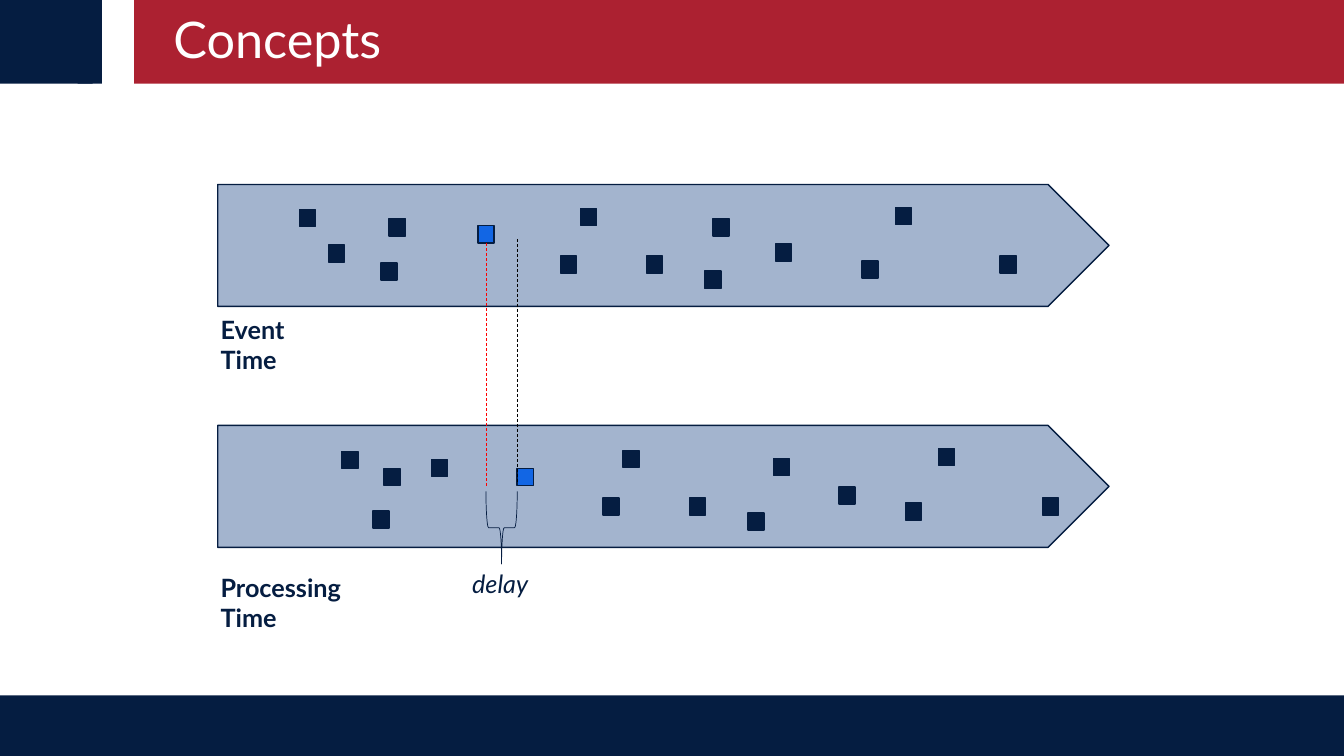
from pptx import Presentation
from pptx.util import Inches, Pt
from pptx.dml.color import RGBColor
from pptx.enum.dml import MSO_LINE
from pptx.enum.shapes import MSO_CONNECTOR, MSO_SHAPE
from pptx.enum.text import MSO_ANCHOR, PP_ALIGN
from lxml import etree

COLORS = {"navy": "051D41", "red": "AC2131", "white": "FFFFFF", "band": "A3B4CE",
          "tracked": "1266E4", "event_line": "FF0000", "arrival_line": "000000"}
FONT = "Lato"
COLUMNS, ROWS = 133.3, 75
BAND_LEFT, BAND_WIDTH, BAND_HEIGHT = 21.6, 88.4, 12.1
EVENT_WIDTH, EVENT_HEIGHT = 1.6, 1.7
TRACKED = 4
EVENT_TIMES = [(8.1, 2.5), (17, 3.4), (11, 6), (16.2, 7.8), (25.8, 4.1), (34, 7.1), (36, 2.4),
               (42.5, 7.1), (49.1, 3.4), (48.3, 8.6), (55.3, 5.9), (63.9, 7.6), (67.2, 2.3),
               (77.6, 7.1)]
PROCESSING_TIMES = [(12.3, 2.6), (21.2, 3.4), (16.5, 4.3), (15.4, 8.5), (29.7, 4.3), (38.2, 7.2),
                    (40.2, 2.5), (46.8, 7.2), (55.1, 3.3), (52.6, 8.7), (61.6, 6.1), (68.2, 7.7),
                    (71.5, 2.3), (81.8, 7.2)]


def grid(*cells):
    return [Inches(cell / 10) for cell in cells]


def color(name):
    return RGBColor.from_string(COLORS[name])


def add_block(slide, kind, box, fill=None, line_width=0):
    block = slide.shapes.add_shape(kind, *grid(*box))
    block.shadow.inherit = False
    if fill:
        block.fill.solid()
        block.fill.fore_color.rgb = color(fill)
    else:
        block.fill.background()
    if line_width:
        block.line.color.rgb = color("navy")
        block.line.width = Pt(line_width)
    else:
        block.line.fill.background()
    return block


def style(paragraph, size, ink, bold=False, italic=False):
    paragraph.alignment = PP_ALIGN.LEFT
    font = paragraph.font
    font.name, font.size, font.bold, font.italic = FONT, Pt(size), bold, italic
    font.color.rgb = color(ink)


def add_label(slide, wording, box, **emphasis):
    frame = slide.shapes.add_textbox(*grid(*box)).text_frame
    frame.word_wrap = True
    frame.text = wording
    style(frame.paragraphs[0], 18, "navy", **emphasis)


def add_header(slide, left, top, width, height):
    for block_left, block_width in ((0, 9.2), (7.7, 2.4)):
        add_block(slide, MSO_SHAPE.RECTANGLE, (left + block_left, top, block_width, height), "navy")
    title_left = left + 13.3
    title = add_block(slide, MSO_SHAPE.RECTANGLE,
                      (title_left, top, width - title_left, height), "red").text_frame
    title.text = "Concepts"
    title.vertical_anchor = MSO_ANCHOR.MIDDLE
    title.margin_left, title.margin_top, title.margin_right, title.margin_bottom = grid(3.9, 1, 2, 1)
    title.paragraphs[0].line_spacing = 0.9
    style(title.paragraphs[0], 36, "white")


def add_timeline(slide, left, top, width, height, events, wording, label_drop, label_width):
    add_block(slide, MSO_SHAPE.PENTAGON, (left, top, width, height), "band", 1)
    for index, (across, down) in enumerate(events):
        add_block(slide, MSO_SHAPE.RECTANGLE,
                  (left + across, top + down, EVENT_WIDTH, EVENT_HEIGHT),
                  "tracked" if index == TRACKED else "navy", 1)
    add_label(slide, wording, (left - 0.7, top + height + label_drop, label_width, 4), bold=True)


def add_delay(slide, left, top, width, height):
    for x, y, ink in ((left, top + 0.4, "event_line"), (left + width, top, "arrival_line")):
        marker = slide.shapes.add_connector(MSO_CONNECTOR.STRAIGHT,
                                            *grid(x, y, x, y + height))
        marker.line.color.rgb = color(ink)
        marker.line.width = Pt(0.5)
        marker.line.dash_style = MSO_LINE.DASH
        properties = marker._element.spPr
        etree.SubElement(properties, properties.tag.replace("spPr", "effectLst").replace(
            "presentationml", "drawingml"))
    center = left + width / 2
    brace_depth = 7.2
    brace = add_block(slide, MSO_SHAPE.LEFT_BRACE,
                      (center - brace_depth / 2, top + height + 2.8, brace_depth, width),
                      line_width=0.5)
    brace.rotation = 270
    add_label(slide, "delay", (center - 3.9, top + height + 7.9, 7.7, 4), italic=True)


def main():
    presentation = Presentation()
    presentation.slide_width, presentation.slide_height = grid(COLUMNS, ROWS)
    slide = presentation.slides.add_slide(presentation.slide_layouts[6])
    add_block(slide, MSO_SHAPE.RECTANGLE, (0, 69, COLUMNS, 6), "navy")
    add_header(slide, 0, 0, COLUMNS, 8.3)
    add_timeline(slide, BAND_LEFT, 18.3, BAND_WIDTH, BAND_HEIGHT,
                 EVENT_TIMES, "Event\vTime", 0.3, 14.4)
    add_timeline(slide, BAND_LEFT, 42.2, BAND_WIDTH, BAND_HEIGHT,
                 PROCESSING_TIMES, "Processing\vTime", 2, 19.7)
    add_delay(slide, 48.2, 23.7, 3.1, 24.3)
    presentation.save("out.pptx")


if __name__ == "__main__":
    main()
